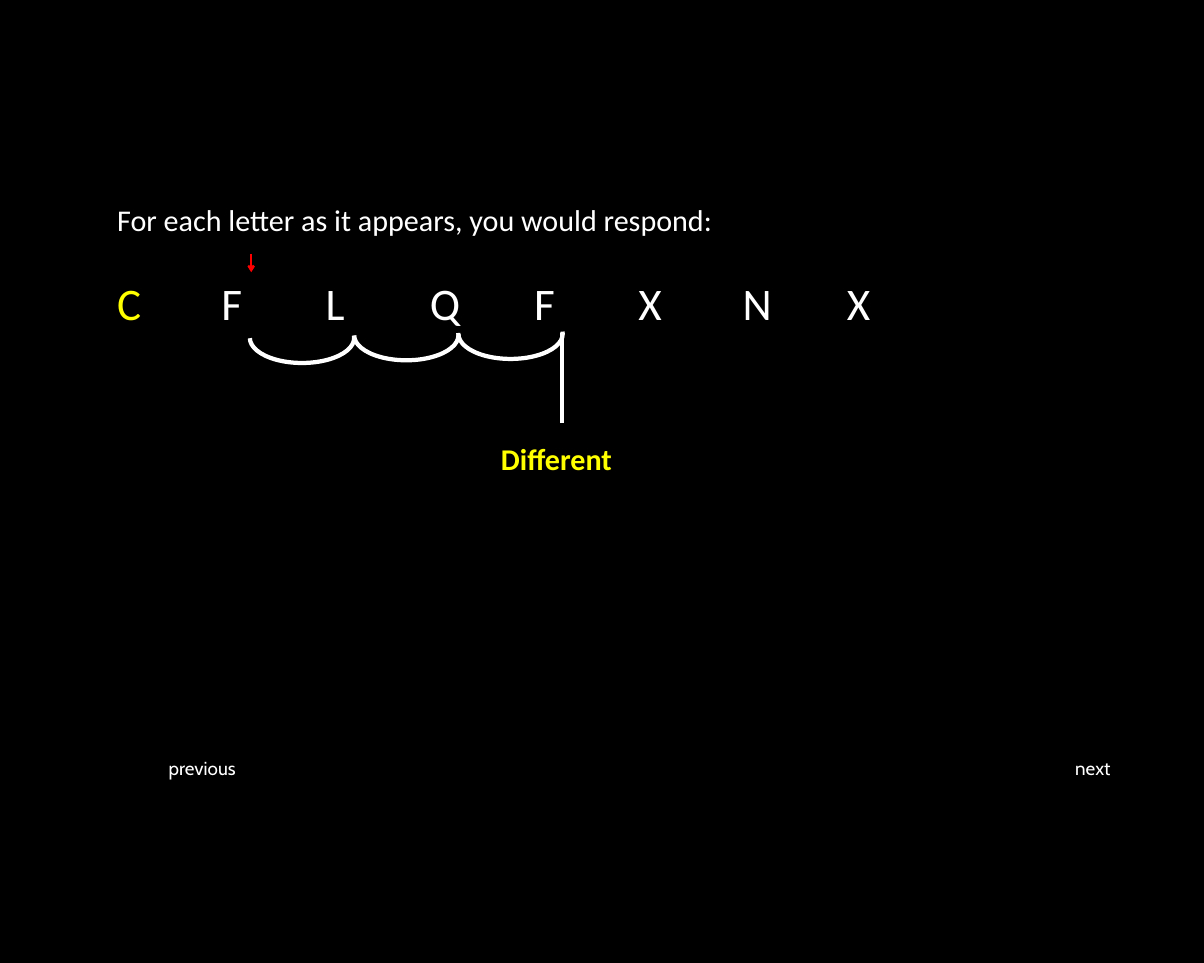
from dataclasses import dataclass

from lxml.etree import SubElement
from pptx import Presentation
from pptx.dml.color import RGBColor
from pptx.enum.shapes import MSO_CONNECTOR, MSO_SHAPE
from pptx.enum.text import MSO_ANCHOR, MSO_AUTO_SIZE, PP_ALIGN
from pptx.oxml.ns import qn
from pptx.util import Inches, Pt


@dataclass(frozen=True)
class Theme:
    background: RGBColor = RGBColor(0, 0, 0)
    text: RGBColor = RGBColor(255, 255, 255)
    accent: RGBColor = RGBColor(255, 255, 0)
    pointer: RGBColor = RGBColor(255, 0, 0)
    body_font: str = "Calibri"
    nav_font: str = "Cabin"
    body_size: Pt = Pt(32)
    letter_size: Pt = Pt(48)
    nav_size: Pt = Pt(20)
    pointer_width: Pt = Pt(2.25)
    link_width: Pt = Pt(4.5)


THEME = Theme()
LETTERS = "CFLQFXNX"
PITCH = 1.54  # inches from one letter to the next
LEFT = 1.63


def format_text_frame(tf):
    settings = {
        "word_wrap": True,
        "auto_size": MSO_AUTO_SIZE.NONE,
        "vertical_anchor": MSO_ANCHOR.TOP,
        "margin_left": Inches(0.1),
        "margin_right": Inches(0.1),
        "margin_top": Inches(0.05),
        "margin_bottom": Inches(0.05),
    }
    for name, value in settings.items():
        setattr(tf, name, value)


def add_run(p, text, color=THEME.text, **font):
    r = p.add_run()
    r.text = text
    settings = {"name": THEME.body_font, "size": THEME.body_size, **font}
    for name, value in settings.items():
        setattr(r.font, name, value)
    r.font.color.rgb = color


def add_text(slide, left, top, width, height):
    """Add an empty text box and return its first paragraph."""
    sp = slide.shapes.add_textbox(*map(Inches, (left, top, width, height)))
    format_text_frame(sp.text_frame)
    return sp.text_frame.paragraphs[0]


def add_heading(slide, text):
    sp = slide.shapes.title
    place = {"left": LEFT, "top": 2.93, "width": 14.87, "height": 0.64}
    for name, value in place.items():
        setattr(sp, name, Inches(value))
    format_text_frame(sp.text_frame)
    p = sp.text_frame.paragraphs[0]
    p.alignment = PP_ALIGN.LEFT
    add_run(p, text)


def add_letters(slide):
    p = add_text(slide, LEFT, 4.01, 14.87, 0.91)
    tabs = SubElement(p._p.get_or_add_pPr(), qn("a:tabLst"))
    for i in range(1, len(LETTERS)):
        SubElement(tabs, qn("a:tab"), pos=str(Inches(i * PITCH)), algn="l")
    first, *others = LETTERS
    add_run(p, first, THEME.accent, size=THEME.letter_size)
    add_run(p, "".join("\t" + c for c in others), size=THEME.letter_size)


def add_vertical(slide, x, top, bottom, color, width, arrow=False):
    s = slide.shapes.add_connector(
        MSO_CONNECTOR.STRAIGHT, *map(Inches, (x, top, x, bottom)))
    s.line.color.rgb = color
    s.line.width = width
    if arrow:
        SubElement(s.line._get_or_add_ln(), qn("a:tailEnd"), type="arrow")
    SubElement(s._element.spPr, qn("a:effectLst"))


def add_arc(slide, left, top):
    s = slide.shapes.add_shape(
        MSO_SHAPE.ARC, *map(Inches, (left, top, PITCH, 0.74)))
    s.shadow.inherit = False
    s.rotation = 180
    s.adjustments[0], s.adjustments[1] = 106.5, 215.81
    s.fill.background()
    s.line.color.rgb = THEME.text
    s.line.width = THEME.link_width


def main():
    prs = Presentation()
    prs.slide_width, prs.slide_height = Inches(17.78), Inches(14.22)
    slide = prs.slides.add_slide(prs.slide_layouts[5])
    slide.background.fill.solid()
    slide.background.fill.fore_color.rgb = THEME.background

    # Heading and letter sequence
    add_heading(slide, "For each letter as it appears, you would respond:")
    add_letters(slide)

    # Pointer and links from the second letter to the fifth
    add_vertical(slide, 3.71, 3.75, 4.02, THEME.pointer,
                 THEME.pointer_width, arrow=True)
    for i, top in enumerate((4.62, 4.58, 4.56)):
        add_arc(slide, 3.69 + i * PITCH, top)
    add_vertical(slide, 8.3, 4.92, 6.24, THEME.text, THEME.link_width)

    # Response
    add_run(add_text(slide, 7.3, 6.45, 3, 0.64), "Different",
            THEME.accent, bold=True)

    # Navigation labels
    for label, left, width in (("previous", 2.39, 3.05), ("next", 15.78, 2)):
        add_run(add_text(slide, left, 11.12, width, 0.44), label,
                name=THEME.nav_font, size=THEME.nav_size)

    prs.save("out.pptx")


if __name__ == "__main__":
    main()
